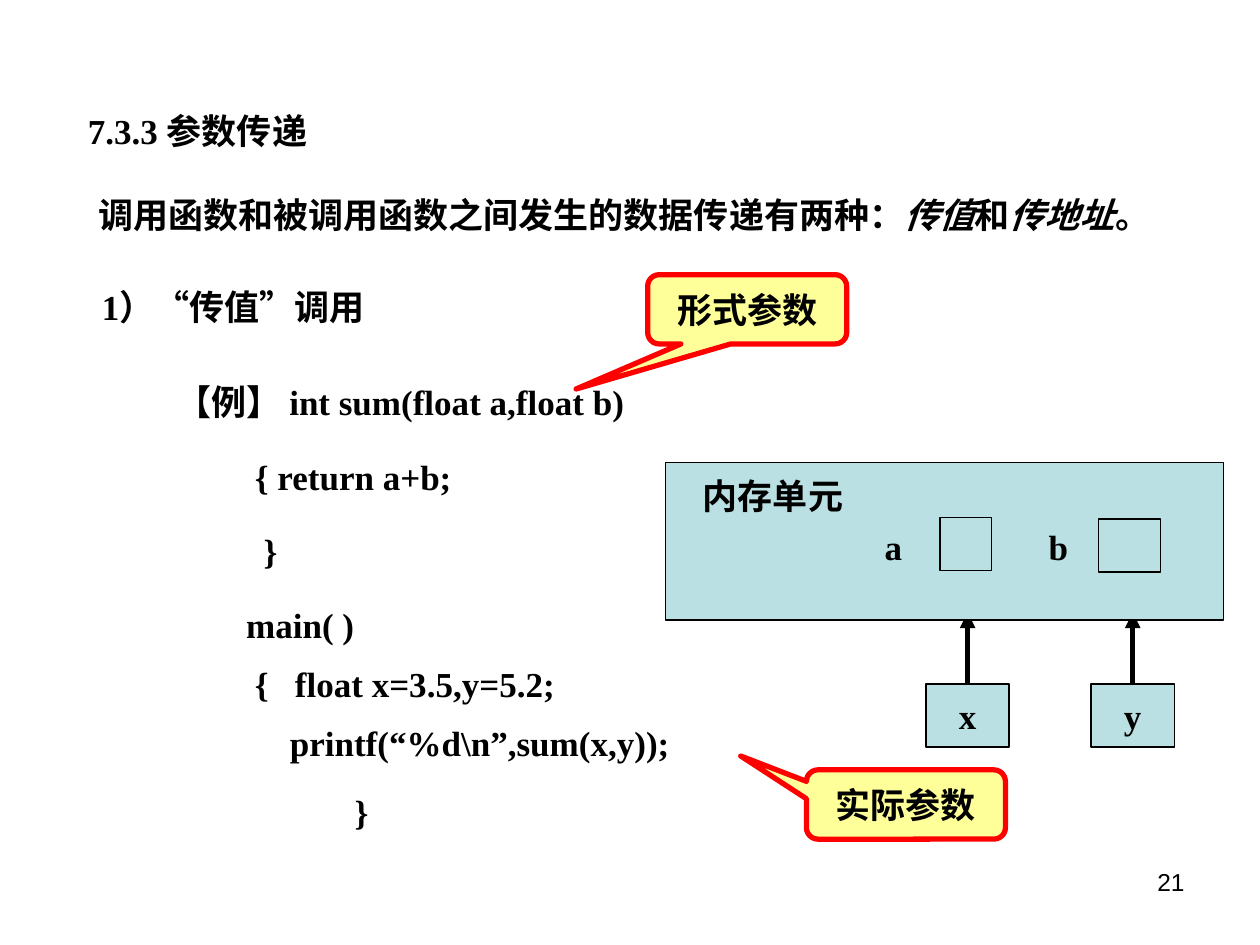
from lxml import etree
from pptx import Presentation
from pptx.dml.color import RGBColor
from pptx.enum.shapes import MSO_CONNECTOR, MSO_SHAPE
from pptx.enum.text import MSO_ANCHOR, PP_ALIGN
from pptx.oxml.ns import qn
from pptx.util import Inches, Pt

RECT = MSO_SHAPE.RECTANGLE
BUBBLE = MSO_SHAPE.ROUNDED_RECTANGULAR_CALLOUT
STRAIGHT = MSO_CONNECTOR.STRAIGHT
MIDDLE = MSO_ANCHOR.MIDDLE
CENTER, RIGHT = PP_ALIGN.CENTER, PP_ALIGN.RIGHT
SERIF, SANS = "Times New Roman", "Arial"
BLACK, RED, TEAL, CREAM = "000000", "FF0000", "BBE0E3", "FFFF99"


def color(code):
    return RGBColor.from_string(code)


def style(run, size=20, face=SERIF, bold=True, italic=False):
    font = run.font
    font.name, font.size = face, Pt(size)
    font.bold, font.italic = bold, italic
    font.color.rgb = color(BLACK)


def label(shape, text, align=CENTER, anchor=MIDDLE, wrap=True, **look):
    frame = shape.text_frame
    frame.text = text
    frame.word_wrap = wrap
    frame.vertical_anchor = anchor
    para = frame.paragraphs[0]
    para.alignment = align
    style(para.runs[0], **look)


def textbox(slide, left, top, width, height):
    box = slide.shapes.add_textbox(
        Inches(left), Inches(top), Inches(width), Inches(height))
    box.text_frame.word_wrap = True
    return box


def block(slide, box, lines, spacing):
    """Each line is (space before, indent, runs); a run is (text, look)."""
    frame = textbox(slide, *box).text_frame
    for i, (gap, indent, runs) in enumerate(lines):
        para = frame.add_paragraph() if i else frame.paragraphs[0]
        props = para._p.get_or_add_pPr()
        props.set("marL", "0")
        props.set("indent", str(Inches(indent)))
        para.line_spacing = spacing
        if i:
            para.space_before = Pt(gap)
        for text, look in runs:
            run = para.add_run()
            run.text = text
            style(run, **look)


def panel(slide, left, top, width, height, kind=RECT,
          fill=TEAL, edge=BLACK, weight=0.75):
    shape = slide.shapes.add_shape(
        kind, Inches(left), Inches(top), Inches(width), Inches(height))
    shape.shadow.inherit = False
    shape.fill.solid()
    shape.fill.fore_color.rgb = color(fill)
    shape.line.color.rgb = color(edge)
    shape.line.width = Pt(weight)
    return shape


def arrow(slide, x, start, end):
    link = slide.shapes.add_connector(
        STRAIGHT, Inches(x), Inches(start), Inches(x), Inches(end))
    link.line.color.rgb = color(BLACK)
    link.line.width = Pt(3)
    etree.SubElement(link.line._get_or_add_ln(), qn("a:tailEnd"), type="triangle")
    etree.SubElement(link._element.spPr, qn("a:effectLst"))


def inputs(slide, left, top, names):
    """Actual arguments, each with an arrow up to the memory."""
    width, step = 0.66, 1.31
    for i, name in enumerate(names):
        x = left + i * step
        label(panel(slide, x, top, width, 0.5), name)
        arrow(slide, x + width / 2, top + 0.01, top - 0.57)


def memory(slide, left, top, width, height):
    """Memory area with one cell per formal parameter."""
    panel(slide, left, top, width, height)
    cells = [("a", 1.48, 2.18, 0.44, 0.41), ("b", 2.79, 3.44, 0.45, 0.49)]
    for name, at, cell, drop, size in cells:
        panel(slide, left + cell, top + drop, size, 0.42)
        label(textbox(slide, left + at, top + 0.42, 0.66, 0.5), name)
    label(textbox(slide, left + 0.2, top + 0.05, 1.31, 0.44), "内存单元",
          align=None, anchor=None, wrap=False)


def callout(slide, left, top, text, tip):
    shape = panel(slide, left, top, 1.58, 0.55, BUBBLE, CREAM, RED, 3)
    for i, value in enumerate((*tip, 0.167)):
        shape.adjustments[i] = value
    label(shape, text)


def intro(slide, left, top):
    """Heading, statement and subheading."""
    slant = {"italic": True}
    block(slide, (left, top, 9.2, 1.38), [
        (0, 0.17, [("7.3.3 参数传递", {})]),
        (12.5, 0.25, [("调用函数和被调用函数之间发生的数据传递有两种：", {}),
                      ("传值", slant), ("和", {}),
                      ("传地址", slant), ("。", {})]),
    ], 1.5)
    block(slide, (left, top + 1.48, 3.14, 0.52),
          [(0, 0.28, [("1）“传值”调用", {})])], 1.25)


def code(slide, box):
    """Sample program."""
    wide, tight = 12.5, 3.7
    lines = [
        (wide, "【例】 int sum(float a,float b)"),
        (wide, "         { return a+b;"),
        (wide, "          }"),
        (wide, "        main( )"),
        (tight, "         {   float x=3.5,y=5.2;"),
        (tight, "             printf(“%d\\n”,sum(x,y));"),
    ]
    rows = [(gap, 0, [(text, {})]) for gap, text in lines]
    rows.append((tight, 0, [(" " * 17, {"size": 24}), ("}", {})]))
    block(slide, box, rows, 1.25)


def main():
    deck = Presentation()
    deck.slide_width, deck.slide_height = Inches(10), Inches(7.5)
    slide = deck.slides.add_slide(deck.slide_layouts[6])

    intro(slide, 0.43, 0.65)
    # Arrows go behind the memory area
    inputs(slide, 7.35, 5.43, "xy")
    memory(slide, 5.28, 3.67, 4.43, 1.25)
    callout(slide, 5.14, 2.18, "形式参数", (-0.86, 1.15))
    callout(slide, 6.4, 6.11, "实际参数", (-0.83, -0.7))
    code(slide, (1.3, 2.89, 5.97, 3.78))
    # Page number
    label(textbox(slide, 7.17, 6.83, 2.33, 0.52), "21", RIGHT, None,
          size=14, face=SANS, bold=False)

    deck.save("out.pptx")


if __name__ == "__main__":
    main()
